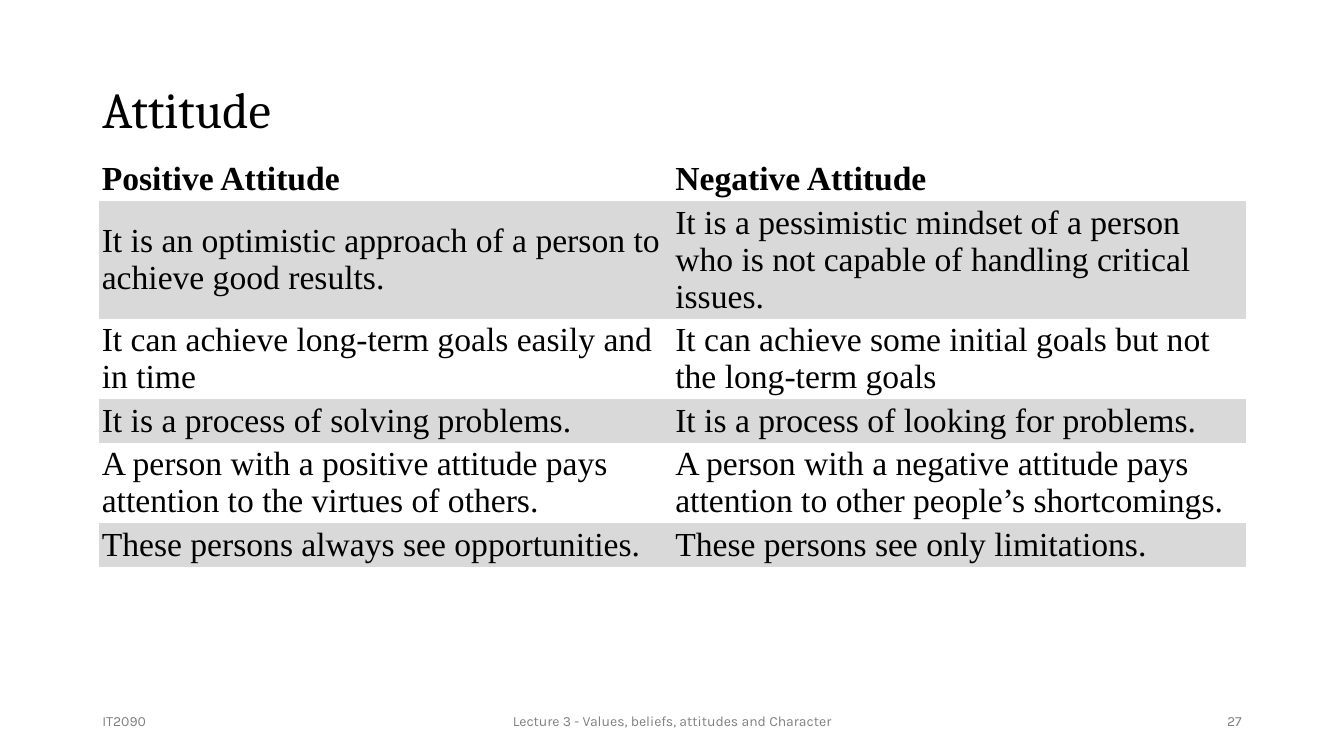
from dataclasses import dataclass

from pptx import Presentation
from pptx import util as u
from pptx.dml.color import RGBColor
from pptx.enum import text as t
from pptx.oxml import ns

# The slide is a grid of 160 columns by 90 rows.
COLUMNS, ROWS = 160, 90
WIDTH, HEIGHT = u.Inches(13.33), u.Inches(7.5)
PLAIN_TABLE_STYLE = "{2D5ABB26-0587-4C30-8999-92F81FD0307C}"


@dataclass(frozen=True)
class TextStyle:
    font: str
    size: int
    color: RGBColor
    bold: bool = False


@dataclass(frozen=True)
class Theme:
    title: TextStyle = TextStyle("Cambria", 36, RGBColor(0, 0, 0))
    heading: TextStyle = TextStyle("Times New Roman", 24, RGBColor(0, 0, 0), True)
    body: TextStyle = TextStyle("Times New Roman", 24, RGBColor(0, 0, 0))
    footer: TextStyle = TextStyle("Karla", 10, RGBColor(0x80, 0x80, 0x80))
    band: RGBColor = RGBColor(0xD9, 0xD9, 0xD9)


@dataclass(frozen=True)
class Label:
    text: str
    column: float
    row: float
    columns: float
    rows: float
    style: TextStyle
    alignment: t.PP_ALIGN = t.PP_ALIGN.LEFT
    line_spacing: float = 1.0


@dataclass(frozen=True)
class Contrast:
    positive: str
    negative: str
    lines: int = 1


THEME = Theme()
MARGIN, CONTENT = 11, 138
FOOTER_TOP, FOOTER_HEIGHT = 83.4, 4.8
SIDE, CENTRE = 36, 54

LABELS = [
    Label("Attitude", MARGIN, 9.2, CONTENT, 8.4, THEME.title, line_spacing=0.9),
    Label("IT2090", MARGIN, FOOTER_TOP, SIDE, FOOTER_HEIGHT, THEME.footer),
    Label("Lecture 3 - Values, beliefs, attitudes and Character",
          (COLUMNS - CENTRE) / 2, FOOTER_TOP, CENTRE, FOOTER_HEIGHT,
          THEME.footer, t.PP_ALIGN.CENTER),
    Label("27", MARGIN + CONTENT - SIDE, FOOTER_TOP, SIDE, FOOTER_HEIGHT,
          THEME.footer, t.PP_ALIGN.RIGHT),
]

CONTRASTS = [
    Contrast("Positive Attitude", "Negative Attitude"),
    Contrast("It is an optimistic approach of a person to achieve good results.",
             "It is a pessimistic mindset of a person who is not capable of "
             "handling critical issues.", 3),
    Contrast("It can achieve long-term goals easily and in time",
             "It can achieve some initial goals but not the long-term goals", 2),
    Contrast("It is a process of solving problems.",
             "It is a process of looking for problems."),
    Contrast("A person with a positive attitude pays attention to the virtues of others.",
             "A person with a negative attitude pays attention to other people’s "
             "shortcomings.", 2),
    Contrast("These persons always see opportunities.",
             "These persons see only limitations."),
]

TABLE_LEFT, TABLE_TOP, TABLE_COLUMN = 11.76, 18.75, 68.28
LINE_ROWS, CELL_INSET = 4.44, 0.36


def across(columns: float) -> u.Emu:
    return u.Emu(round(WIDTH * columns / COLUMNS))


def down(rows: float) -> u.Emu:
    return u.Emu(round(HEIGHT * rows / ROWS))


def add_run(paragraph, words: str, style: TextStyle) -> None:
    run = paragraph.add_run()
    run.text = words
    run.font.name = style.font
    run.font.size = u.Pt(style.size)
    run.font.bold = style.bold
    run.font.color.rgb = style.color


def add_label(slide, label: Label) -> None:
    shape = slide.shapes.add_textbox(across(label.column), down(label.row),
                                     across(label.columns), down(label.rows))
    frame = shape.text_frame
    frame.word_wrap = True
    frame.vertical_anchor = t.MSO_ANCHOR.MIDDLE
    paragraph = frame.paragraphs[0]
    paragraph.alignment = label.alignment
    paragraph.line_spacing = label.line_spacing
    add_run(paragraph, label.text, label.style)


def fill_cell(cell, words: str, style: TextStyle, banded: bool) -> None:
    cell.margin_left = cell.margin_right = across(CELL_INSET)
    cell.margin_top = cell.margin_bottom = down(CELL_INSET)
    cell.vertical_anchor = t.MSO_ANCHOR.MIDDLE
    if banded:
        cell.fill.solid()
        cell.fill.fore_color.rgb = THEME.band
    else:
        cell.fill.background()
    add_run(cell.text_frame.paragraphs[0], words, style)


def add_contrast_table(slide, contrasts: list[Contrast]) -> None:
    """Add the two-column table; every second row is shaded."""
    heights = [down(item.lines * LINE_ROWS + 2 * CELL_INSET) for item in contrasts]
    shape = slide.shapes.add_table(len(contrasts), 2, across(TABLE_LEFT), down(TABLE_TOP),
                                   across(2 * TABLE_COLUMN), u.Emu(sum(heights)))
    table = shape.table
    table.horz_banding = False
    next(shape.element.iter(ns.qn("a:tableStyleId"))).text = PLAIN_TABLE_STYLE
    for column in table.columns:
        column.width = across(TABLE_COLUMN)
    for index, (item, height) in enumerate(zip(contrasts, heights)):
        table.rows[index].height = height
        style = THEME.body if index else THEME.heading
        for side, words in enumerate((item.positive, item.negative)):
            fill_cell(table.cell(index, side), words, style, index % 2 == 1)


def main() -> None:
    presentation = Presentation()
    presentation.slide_width, presentation.slide_height = WIDTH, HEIGHT
    slide = presentation.slides.add_slide(presentation.slide_layouts[6])
    add_contrast_table(slide, CONTRASTS)
    for label in LABELS:
        add_label(slide, label)
    presentation.save("out.pptx")


if __name__ == "__main__":
    main()
